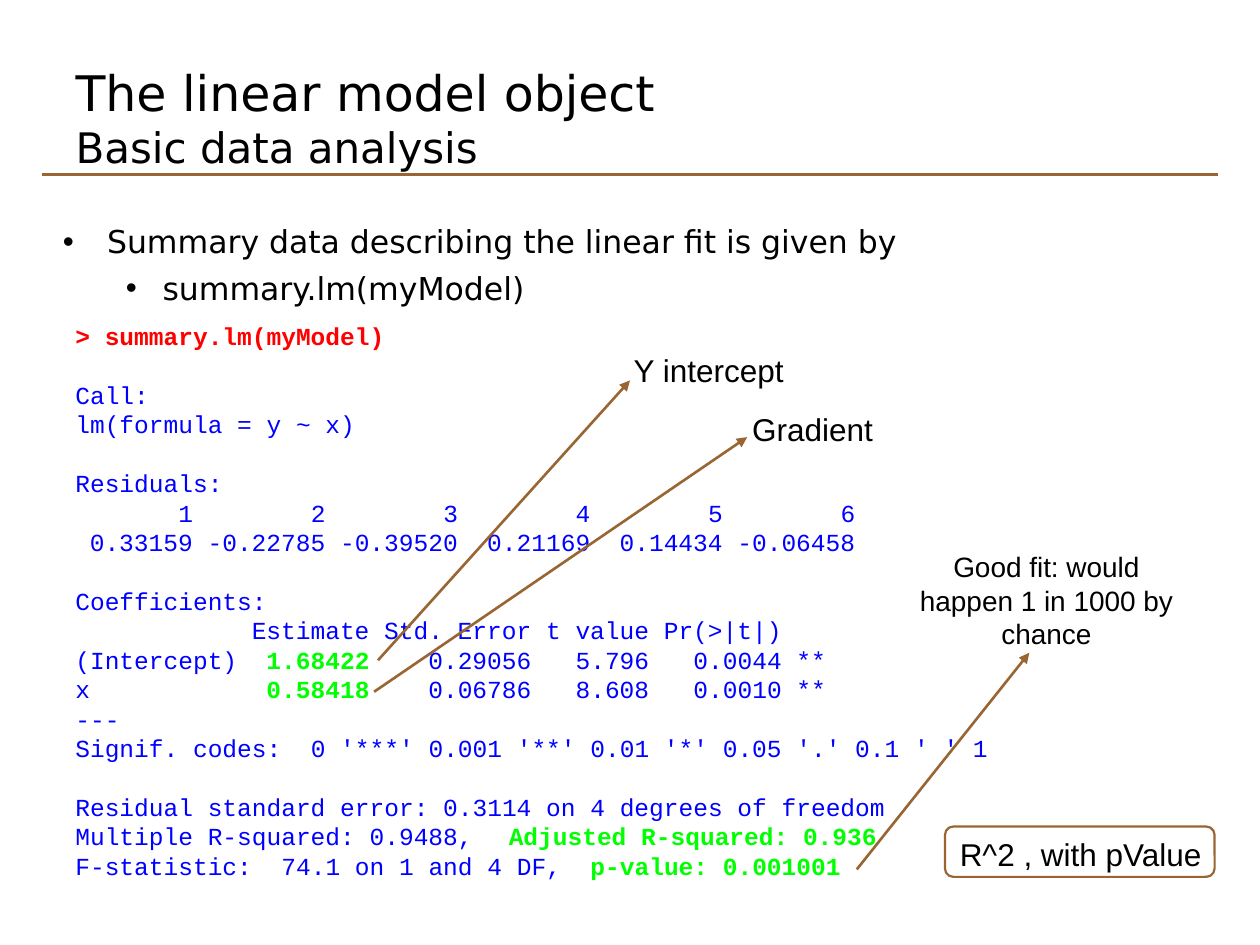
from pptx import Presentation
from pptx.dml.color import RGBColor
from pptx.enum.shapes import MSO_CONNECTOR as Connector, MSO_SHAPE as Shape
from pptx.enum.text import MSO_ANCHOR as Anchor, MSO_AUTO_SIZE as AutoSize, PP_ALIGN as Align
from pptx.oxml.ns import qn
from pptx.util import Pt
from lxml.etree import SubElement

BLACK, BROWN, RED, BLUE, GREEN = "000000", "996633", "FF0000", "0000FF", "00FF00"
CHAR = 8.41     # advance of one console character
PITCH = 16.8    # height of one console line

# Tab stops as (character column, alignment)
RESIDUAL_TABS = [(8 + 9 * i, "r") for i in range(6)]
COEF_TABS = [(20, "r"), (31, "r"), (39, "r")]
HEADER_TABS = COEF_TABS + [(48, "r")]
VALUE_TABS = COEF_TABS + [(42, "l")]

# (runs, tab stops, starts a new block); a run is text or (text, colour)
CONSOLE = [
    ([("> summary.lm(myModel)", RED)], [], False),
    (["Call:"], [], True),
    (["lm(formula = y ~ x)"], [], False),
    (["Residuals:"], [], True),
    (["\t1\t2\t3\t4\t5\t6"], RESIDUAL_TABS, False),
    (["\t0.33159\t-0.22785\t-0.39520\t0.21169\t0.14434\t-0.06458"], RESIDUAL_TABS, False),
    (["Coefficients:"], [], True),
    (["\tEstimate\tStd. Error\tt value\tPr(>|t|)"], HEADER_TABS, False),
    (["(Intercept)\t", ("1.68422", GREEN), "\t0.29056\t5.796\t0.0044 **"], VALUE_TABS, False),
    (["x\t", ("0.58418", GREEN), "\t0.06786\t8.608\t0.0010 **"], VALUE_TABS, False),
    (["---"], [], False),
    (["Signif. codes:\t0 '***' 0.001 '**' 0.01 '*' 0.05 '.' 0.1 ' ' 1"], [(16, "l")], False),
    (["Residual standard error: 0.3114 on 4 degrees of freedom"], [], True),
    (["Multiple R-squared: 0.9488,\t", ("Adjusted R-squared: 0.936", GREEN)],
     [(29.45, "l")], False),
    (["F-statistic:\t74.1 on 1 and 4 DF,\t", ("p-value: 0.001001", GREEN)],
     [(14, "l"), (35, "l")], False),
]


def color(hex_code):
    """Turn a hex string into a colour."""
    return RGBColor.from_string(hex_code)


def add_text(paragraph, text, font="Arial", size=18, ink=BLACK, bold=False):
    """Append one formatted run to a paragraph."""
    run = paragraph.add_run()
    run.text = text
    run.font.name, run.font.size, run.font.bold = font, Pt(size), bold
    run.font.color.rgb = color(ink)


def set_frame(frame, inset=(7.2, 3.6), wrap=True, anchor=Anchor.TOP):
    """Set margins, wrapping and anchor of a text frame."""
    frame.margin_left = frame.margin_right = Pt(inset[0])
    frame.margin_top = frame.margin_bottom = Pt(inset[1])
    frame.word_wrap, frame.vertical_anchor = wrap, anchor
    frame.auto_size = AutoSize.NONE


def add_box(slide, left, top, width, height, **layout):
    """Add a text box and return its frame."""
    box = slide.shapes.add_textbox(Pt(left), Pt(top), Pt(width), Pt(height))
    set_frame(box.text_frame, **layout)
    return box.text_frame


def add_line(slide, start, end, weight=1.5, arrow=True):
    """Draw a straight line, with an arrowhead at its end if wanted."""
    line = slide.shapes.add_connector(Connector.STRAIGHT, *map(Pt, start + end))
    line.line.color.rgb, line.line.width = color(BROWN), Pt(weight)
    if arrow:
        SubElement(line.line._get_or_add_ln(), qn("a:tailEnd"), type="triangle")
    SubElement(line._element.spPr, qn("a:effectLst"))


def add_title(slide, heading, subheading):
    """Fill the title placeholder with a heading and a smaller second line."""
    title = slide.shapes.title
    title.left, title.top, title.width, title.height = map(Pt, (36, 21.6, 648, 90))
    set_frame(title.text_frame, anchor=Anchor.MIDDLE)
    paragraph = title.text_frame.paragraphs[0]
    paragraph.alignment, paragraph.line_spacing = Align.LEFT, 1.02
    add_text(paragraph, heading, font="DejaVu Sans", size=28)
    paragraph.add_line_break()
    add_text(paragraph, subheading, font="DejaVu Sans", size=24)


def add_bullet(paragraph, text, level, margin, hang):
    """Write one bulleted paragraph."""
    paragraph.level, paragraph.line_spacing = level, 1.02
    paragraph.space_before = Pt(4.5)
    properties = paragraph._p.get_or_add_pPr()
    properties.set("marL", str(Pt(margin)))
    properties.set("indent", str(-Pt(hang)))
    SubElement(properties, qn("a:buFont"), typeface="Arial")
    SubElement(properties, qn("a:buChar"), char="•")
    add_text(paragraph, text, font="DejaVu Sans")


def add_tabs(paragraph, stops):
    """Set tab stops given in console columns."""
    tabs = SubElement(paragraph._p.get_or_add_pPr(), qn("a:tabLst"))
    for column, side in stops:
        SubElement(tabs, qn("a:tab"), pos=str(Pt(column * CHAR)), algn=side)


def add_console(slide):
    """Write the model summary as monospaced console output."""
    frame = add_box(slide, 36, 180, 546, 326)
    for i, (runs, stops, new_block) in enumerate(CONSOLE):
        paragraph = frame.add_paragraph() if i else frame.paragraphs[0]
        paragraph.line_spacing = Pt(PITCH)
        paragraph.space_before = Pt(PITCH if new_block else 0)
        if stops:
            add_tabs(paragraph, stops)
        for run in runs:
            text, ink = (run, BLUE) if isinstance(run, str) else run
            add_text(paragraph, text, font="Courier New", size=14, ink=ink, bold=ink != BLUE)


def add_label(slide, text, box, size=18, align=Align.LEFT, wrap=False):
    """Add a short note beside the console output."""
    paragraph = add_box(slide, *box, wrap=wrap).paragraphs[0]
    paragraph.alignment = align
    add_text(paragraph, text, size=size)


def add_badge(slide, text):
    """Add the outlined rounded note."""
    badge = slide.shapes.add_shape(Shape.ROUNDED_RECTANGLE, *map(Pt, (540, 472.3, 154.1, 28.8)))
    badge.shadow.inherit = False
    badge.fill.background()
    badge.line.color.rgb, badge.line.width = color(BROWN), Pt(1.25)
    set_frame(badge.text_frame, wrap=False)
    paragraph = badge.text_frame.paragraphs[0]
    paragraph.alignment = Align.LEFT
    add_text(paragraph, text)


def main():
    """Build and save the slide."""
    deck = Presentation()
    deck.slide_width, deck.slide_height = Pt(720), Pt(540)
    slide = deck.slides.add_slide(deck.slide_layouts[5])

    add_line(slide, (24, 99.6), (696, 99.6), weight=1.76, arrow=False)
    add_title(slide, "The linear model object", "Basic data analysis")
    bullets = add_box(slide, 36, 126.7, 648, 356.4, inset=(0, 0))
    add_bullet(bullets.paragraphs[0], "Summary data describing the linear fit is given by",
               0, 25.2, 25.2)
    add_bullet(bullets.add_paragraph(), "summary.lm(myModel)", 1, 56.9, 20.9)

    add_console(slide)
    add_label(slide, "Y intercept", (355, 196.9, 100.8, 28.8))
    add_label(slide, "Gradient", (422.8, 230.7, 83.5, 28.8))
    add_label(slide, "Good fit: would happen 1 in 1000 by chance",
              (514.1, 310.5, 167.8, 66.2), size=16, align=Align.CENTER, wrap=True)
    add_badge(slide, "R^2 , with pValue")
    for start, end in [((216, 377.3), (360, 217.4)),
                       ((213.8, 395.3), (427, 249.8)),
                       ((489.6, 496.8), (588.2, 373))]:
        add_line(slide, start, end)
    deck.save("out.pptx")


main()
